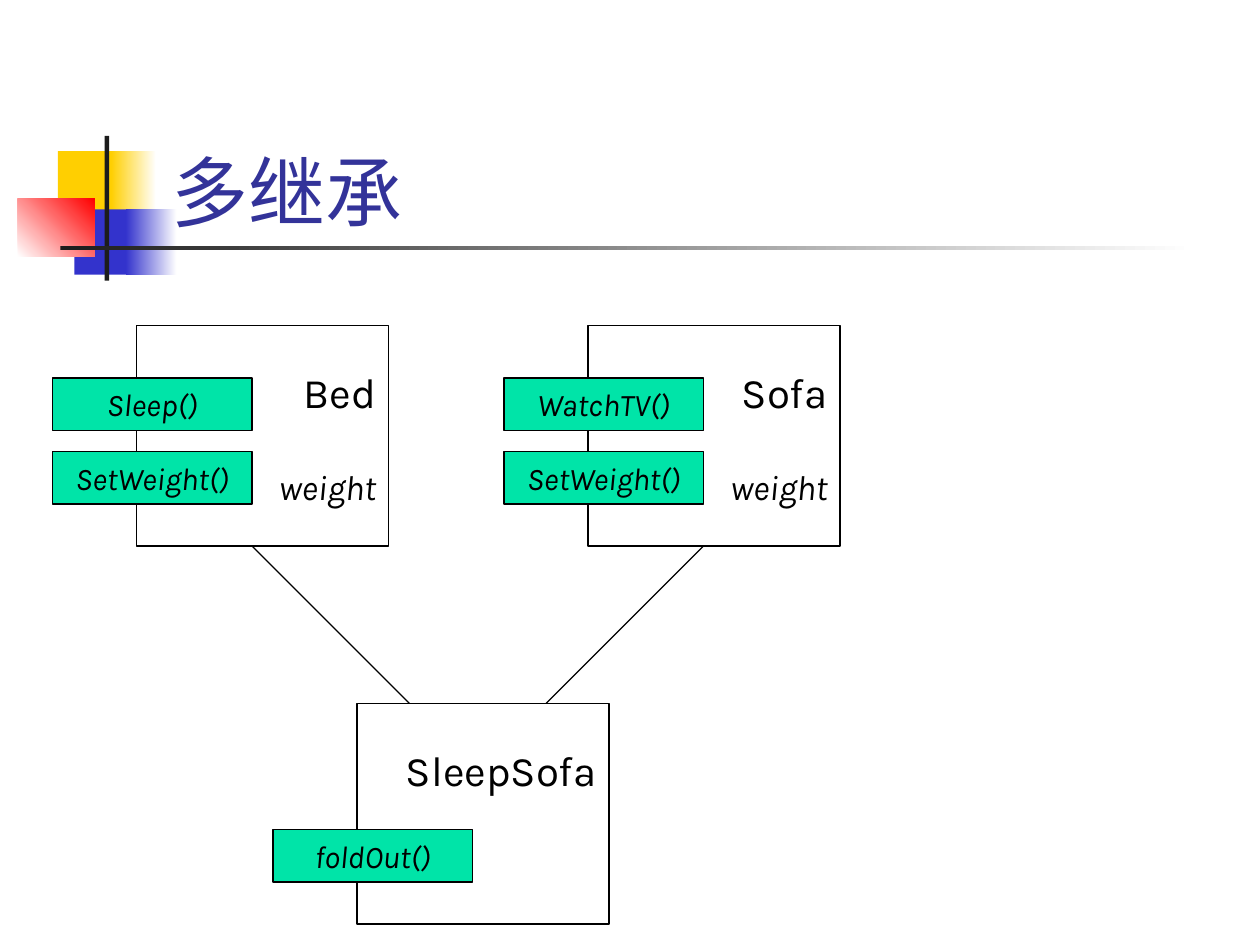
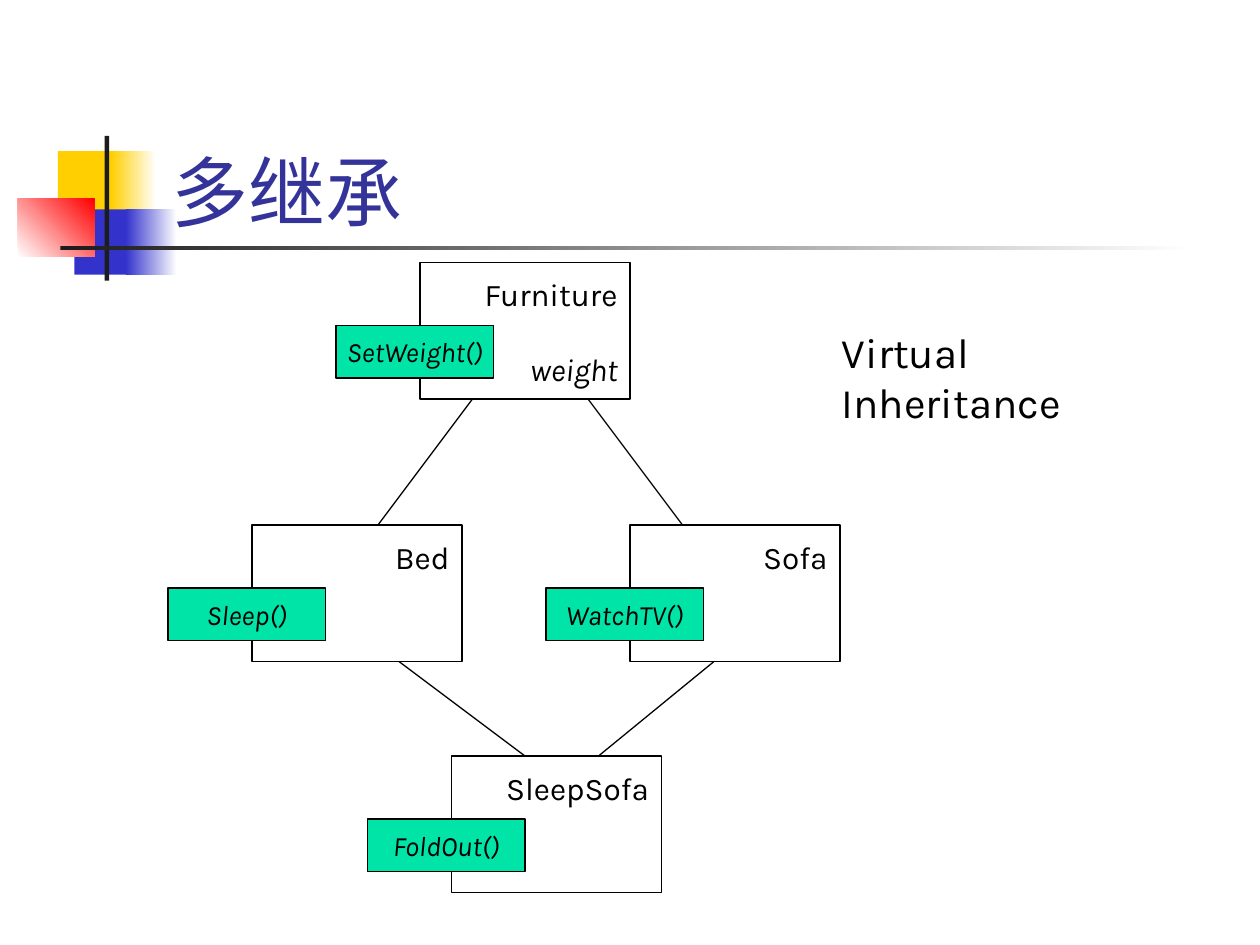
import pptx
import pptx.util
import pptx.dml.color
import pptx.enum.shapes
import pptx.enum.text
import pptx.oxml

Cm, Pt = pptx.util.Cm, pptx.util.Pt
ALIGN = pptx.enum.text.PP_ALIGN
ANCHOR = pptx.enum.text.MSO_ANCHOR
RECT = pptx.enum.shapes.MSO_SHAPE.RECTANGLE
STRAIGHT = pptx.enum.shapes.MSO_CONNECTOR.STRAIGHT
FONT = "Karla"
TITLE = "多继承"
GRID = 2.54 / 12
TAG_OVERHANG = 8
TAG_HEIGHT = 5
COLORS = {
    "title": "333399", "text": "000000", "line": "000000", "tag": "00E4A8",
    "yellow": "FFCF01", "blue": "3333CC", "red": "FF0000",
    "rule": "1C1C1C", "white": "FFFFFF",
}
ORNAMENT = [
    ((1.17, 3.05, 1.22, 1.32), ("yellow",), 0),
    ((2.24, 3.05, 0.91, 1.32), ("yellow", "white"), 0),
    ((1.5, 4.22, 1.17, 1.32), ("blue",), 0),
    ((2.54, 4.22, 1.02, 1.32), ("blue", "white"), 0),
    ((0.36, 4.01, 1.55, 1.17), ("white", "red"), 45),
    ((2.11, 2.74, 0.09, 2.92), ("rule",), 0),
    ((1.22, 4.95, 22.86, 0.09), ("rule", "white"), 0),
]
LARGE = {"size": (24, 21), "tag_width": 19, "top_inset": 0.82,
         "name": 24, "attribute": 20, "method": 18, "gap": 28}
SMALL = {"size": (20, 13), "tag_width": 15, "top_inset": 0.26,
         "name": 18, "attribute": 18, "method": 16, "gap": 21}


def rgb(name):
    return pptx.dml.color.RGBColor.from_string(COLORS[name])


def grid(*cells):
    return [Cm(c * GRID) for c in cells]


def add_run(p, text, size, color="text", italic=False):
    r = p.add_run()
    r.text = text
    r.font.name = FONT
    r.font.size = Pt(size)
    r.font.italic = italic
    r.font.color.rgb = rgb(color)


def add_rect(s, box, fill=None, line=None):
    sp = s.shapes.add_shape(RECT, *box)
    sp.shadow.inherit = False
    if fill:
        sp.fill.solid()
        sp.fill.fore_color.rgb = rgb(fill)
    else:
        sp.fill.background()
    if line:
        sp.line.color.rgb = rgb(line)
        sp.line.width = Pt(0.75)
    else:
        sp.line.fill.background()
    return sp


def move_ornament_to_layout(s, layout):
    for number, (box, colors, angle) in enumerate(ORNAMENT, 20):
        sp = add_rect(s, [Cm(v) for v in box], colors[0])
        if len(colors) == 2:
            sp.fill.gradient()
            sp.fill.gradient_angle = angle
            for stop, color, position in zip(sp.fill.gradient_stops, colors, (0, 1)):
                stop.color.rgb = rgb(color)
                stop.position = position
        sp.element.nvSpPr.cNvPr.set("id", str(number))
        layout.shapes.element.append(sp.element)


def add_titled_slide(prs):
    s = prs.slides.add_slide(prs.slide_layouts[5])
    title = s.shapes.title
    title.left, title.top, title.width, title.height = Cm(3.2), Cm(1.73), Cm(21.64), Cm(3.18)
    tf = title.text_frame
    tf.auto_size = pptx.enum.text.MSO_AUTO_SIZE.NONE
    tf.vertical_anchor = ANCHOR.BOTTOM
    p = tf.paragraphs[0]
    p.alignment = ALIGN.LEFT
    add_run(p, TITLE, 44, "title")
    return s


def add_class(s, style, x, y, name, methods, attribute=None):
    sp = add_rect(s, grid(x, y, *style["size"]), line="line")
    tf = sp.text_frame
    tf.vertical_anchor = ANCHOR.TOP
    tf.margin_top = Cm(style["top_inset"])
    p = tf.paragraphs[0]
    p.alignment = ALIGN.RIGHT
    add_run(p, name, style["name"])
    if attribute:
        p = tf.add_paragraph()
        p.alignment = ALIGN.RIGHT
        p.space_before = Pt(style["gap"])
        add_run(p, attribute, style["attribute"], italic=True)
    for method, offset in methods:
        box = grid(x - TAG_OVERHANG, y + offset, style["tag_width"], TAG_HEIGHT)
        tag = add_rect(s, box, "tag", "line")
        tag.text_frame.word_wrap = False
        tag.text_frame.vertical_anchor = ANCHOR.MIDDLE
        p = tag.text_frame.paragraphs[0]
        p.alignment = ALIGN.CENTER
        add_run(p, method, style["method"], italic=True)
    return sp


def link(s, parent, parent_offset, child, child_offset):
    start, end = grid(parent_offset, child_offset)
    c = s.shapes.add_connector(STRAIGHT, parent.left + start, parent.top + parent.height,
                               child.left + end, child.top)
    c.line.color.rgb = rgb("line")
    c.line.width = Pt(0.75)
    c.element.spPr.append(pptx.oxml.parse_xml(
        '<a:effectLst xmlns:a="http://schemas.openxmlformats.org/drawingml/2006/main"/>'))


def add_caption(s, x, y, width, height, text):
    tf = s.shapes.add_textbox(*grid(x, y, width, height)).text_frame
    tf.word_wrap = True
    add_run(tf.paragraphs[0], text, 24)


def multiple_inheritance(s):
    bed = add_class(s, LARGE, 13, 31, "Bed", [("Sleep()", 5), ("SetWeight()", 12)], "weight")
    sofa = add_class(s, LARGE, 56, 31, "Sofa", [("WatchTV()", 5), ("SetWeight()", 12)], "weight")
    sleep_sofa = add_class(s, LARGE, 34, 67, "SleepSofa", [("foldOut()", 12)])
    link(s, bed, 11, sleep_sofa, 5)
    link(s, sofa, 11, sleep_sofa, 18)


def virtual_inheritance(s):
    furniture = add_class(s, SMALL, 40, 25, "Furniture", [("SetWeight()", 6)], "weight")
    bed = add_class(s, SMALL, 24, 50, "Bed", [("Sleep()", 6)])
    sofa = add_class(s, SMALL, 60, 50, "Sofa", [("WatchTV()", 6)])
    sleep_sofa = add_class(s, SMALL, 43, 72, "SleepSofa", [("FoldOut()", 6)])
    link(s, bed, 14, sleep_sofa, 7)
    link(s, sofa, 8, sleep_sofa, 14)
    link(s, furniture, 5, bed, 12)
    link(s, furniture, 16, sofa, 5)
    add_caption(s, 79, 30.5, 35, 11, "Virtual Inheritance")


def main():
    prs = pptx.Presentation()
    prs.slide_width, prs.slide_height = Cm(25.4), Cm(19.05)
    for number, draw in enumerate((multiple_inheritance, virtual_inheritance)):
        s = add_titled_slide(prs)
        if number == 0:
            move_ornament_to_layout(s, s.slide_layout)
        draw(s)
    prs.save("out.pptx")


if __name__ == "__main__":
    main()
